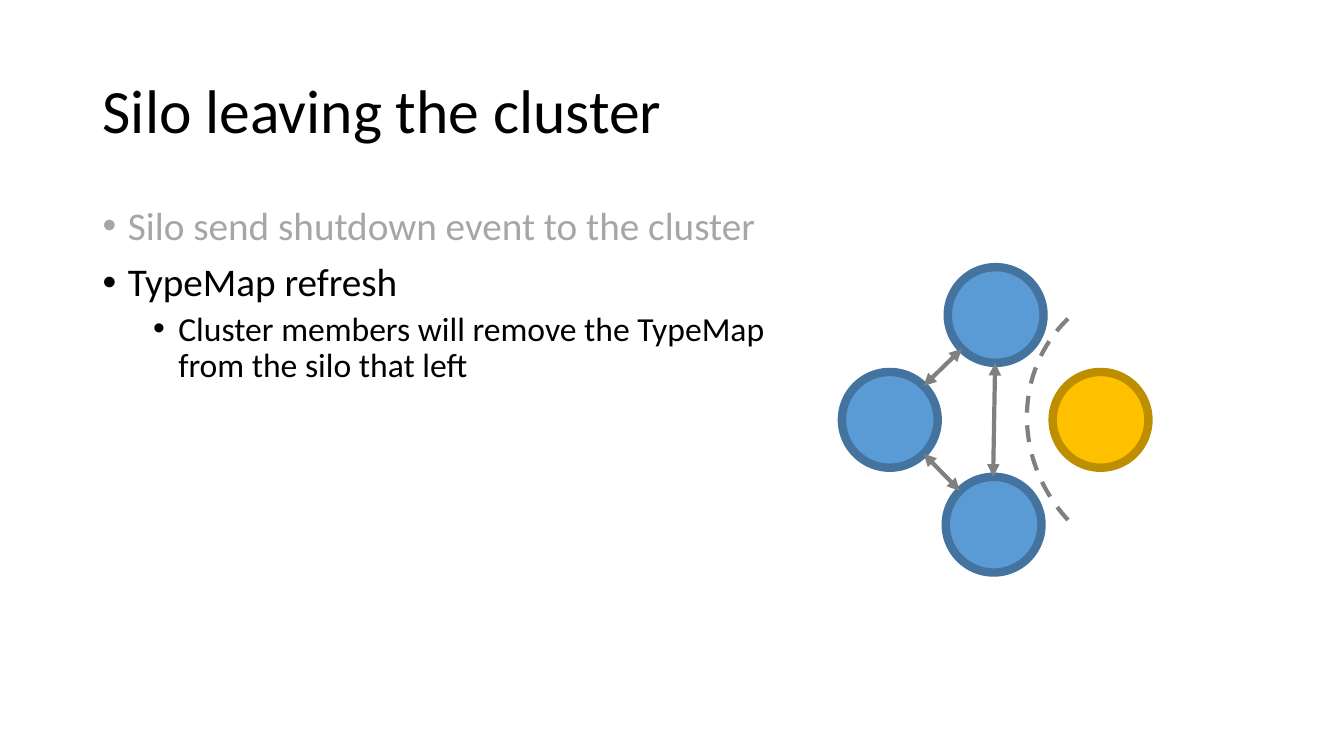
import pptx
import pptx.dml.color
import pptx.enum.dml
import pptx.enum.shapes
import pptx.enum.text
import pptx.oxml
import pptx.oxml.ns
import pptx.util

PX = 9144
FONT = "Calibri"
SILO_SIZE = 95
COLORS = {
    "text": "000000", "muted": "A6A6A6", "link": "808080",
    "member": "5B9BD5", "member_edge": "43739E",
    "leaver": "FFC000", "leaver_edge": "BD8E00",
}


def px(*lengths):
    """Convert pixel lengths to EMU."""
    return [pptx.util.Emu(length * PX) for length in lengths]


def color(name):
    """Look up a named colour."""
    return pptx.dml.color.RGBColor.from_string(COLORS[name])


def apply_format(target, values):
    """Set each attribute of the target from a dict."""
    for name, value in values.items():
        setattr(target, name, value)


def append_xml(parent, tag, attributes):
    """Append a drawing element with the given attributes."""
    element = pptx.oxml.parse_xml(f"<a:{tag} {pptx.oxml.ns.nsdecls('a')}/>")
    for name, value in attributes.items():
        element.set(name, value)
    parent.append(element)


def style_line(line, color_name, width):
    """Give a line its colour and width in points."""
    line.color.rgb = color(color_name)
    line.width = pptx.util.Pt(width)


def add_text_box(slide, box, anchor):
    """Add a wrapping text box and return its text frame."""
    frame = slide.shapes.add_textbox(*px(*box)).text_frame
    apply_format(frame, {"word_wrap": True, "vertical_anchor": anchor})
    return frame


def write_paragraph(paragraph, text, size, color_name, space=0, level=0):
    """Write one paragraph of styled text."""
    apply_format(paragraph, {
        "level": level, "line_spacing": 0.9, "space_before": pptx.util.Pt(space),
    })
    run = paragraph.add_run()
    run.text = text
    apply_format(run.font, {"name": FONT, "size": pptx.util.Pt(size)})
    run.font.color.rgb = color(color_name)


def add_bullet(paragraph):
    """Add a bullet and hanging indent that follow the paragraph level."""
    properties = paragraph._p.get_or_add_pPr()
    margin, indent = px(25 + 50 * paragraph.level, -25)
    properties.set("marL", str(margin))
    properties.set("indent", str(indent))
    append_xml(properties, "buFont", {"typeface": "Arial"})
    append_xml(properties, "buChar", {"char": "•"})


def add_silo(slide, left, top, role):
    """Add a round silo with a thick edge."""
    shape = slide.shapes.add_shape(
        pptx.enum.shapes.MSO_SHAPE.OVAL, *px(left, top, SILO_SIZE, SILO_SIZE))
    shape.shadow.inherit = False
    shape.fill.solid()
    shape.fill.fore_color.rgb = color(role)
    style_line(shape.line, f"{role}_edge", 6)


def add_link(slide, start, end):
    """Add a two-headed arrow between silos."""
    connector = slide.shapes.add_connector(
        pptx.enum.shapes.MSO_CONNECTOR.STRAIGHT, *px(*start, *end))
    style_line(connector.line, "link", 3)
    for tag in ("headEnd", "tailEnd"):
        append_xml(connector.line._get_or_add_ln(), tag, {"type": "triangle"})
    append_xml(connector._element.spPr, "effectLst", {})


def add_boundary(slide, box, rotation):
    """Add the dashed arc that cuts off the leaving silo."""
    shape = slide.shapes.add_shape(pptx.enum.shapes.MSO_SHAPE.ARC, *px(*box))
    shape.shadow.inherit = False
    shape.rotation = rotation
    shape.fill.background()
    style_line(shape.line, "link", 3)
    shape.line.dash_style = pptx.enum.dml.MSO_LINE.DASH


def main():
    """Build and save the slide."""
    presentation = pptx.Presentation()
    width, height = px(1333, 750)
    apply_format(presentation, {"slide_width": width, "slide_height": height})
    slide = presentation.slides.add_slide(presentation.slide_layouts[6])
    anchors = pptx.enum.text.MSO_ANCHOR

    title = add_text_box(slide, (92, 40, 1150, 145), anchors.MIDDLE)
    write_paragraph(title.paragraphs[0], "Silo leaving the cluster", 44, "text")

    body = add_text_box(slide, (92, 200, 726, 476), anchors.TOP)
    bullets = [
        ("Silo send shutdown event to the cluster", 28, "muted", 10, 0),
        ("TypeMap refresh", 28, "text", 10, 0),
        ("Cluster members will remove the TypeMap from the silo that left",
         24, "text", 5, 1),
    ]
    for index, bullet in enumerate(bullets):
        paragraph = body.add_paragraph() if index else body.paragraphs[0]
        write_paragraph(paragraph, *bullet)
        add_bullet(paragraph)

    add_silo(slide, 1044, 369, "leaver")
    for left, top in ((940, 265), (835, 369), (938, 473)):
        add_silo(slide, left, top, "member")
    for start, end in (((916, 383), (954, 346)),
                       ((916, 450), (952, 487)),
                       ((985, 473), (987, 360))):
        add_link(slide, start, end)
    add_boundary(slide, (1014, 284, 293, 276), 227.2)

    presentation.save("out.pptx")


if __name__ == "__main__":
    main()
